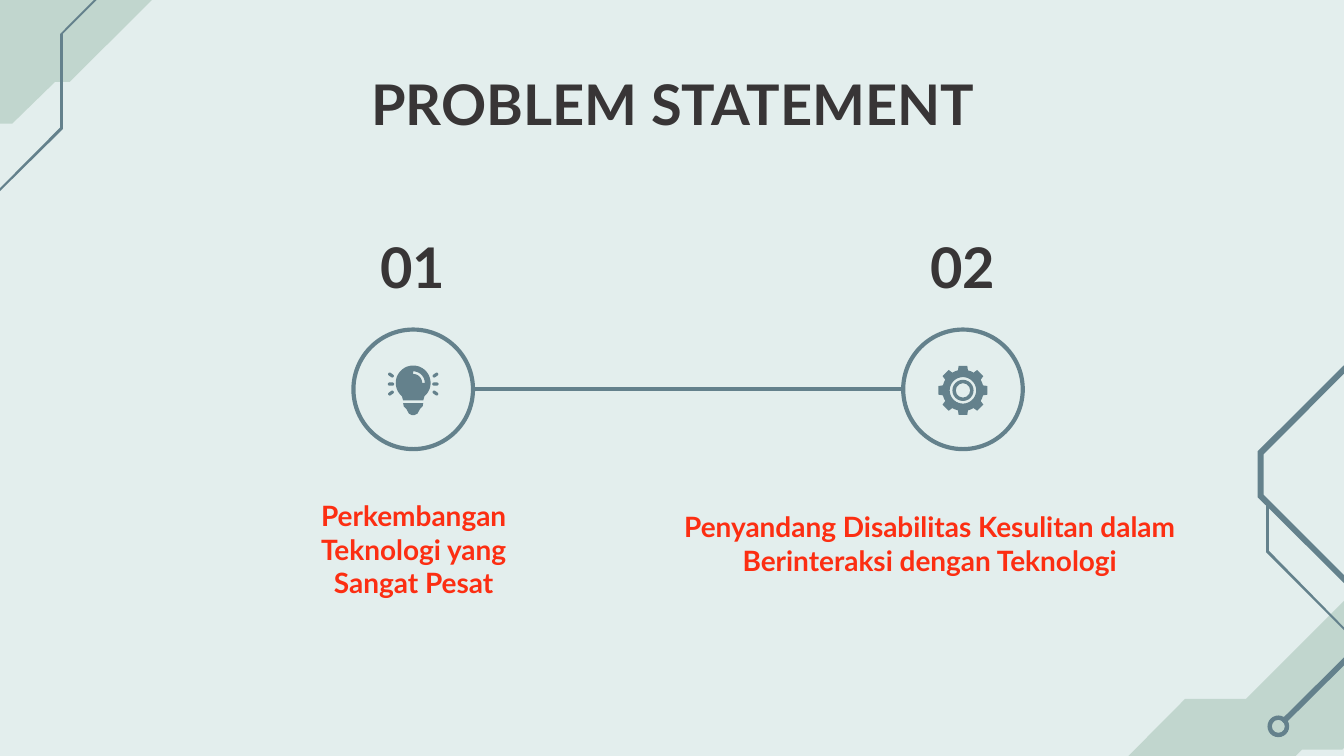
from dataclasses import dataclass
from math import cos, radians, sin
from typing import NamedTuple

from lxml.etree import SubElement
from pptx import Presentation
from pptx.dml.color import RGBColor
from pptx.enum.shapes import MSO_CONNECTOR, MSO_SHAPE
from pptx.enum.text import MSO_ANCHOR, MSO_AUTO_SIZE, PP_ALIGN
from pptx.oxml.ns import qn
from pptx.util import Cm, Pt

TOP, MIDDLE = MSO_ANCHOR.TOP, MSO_ANCHOR.MIDDLE
CENTER = PP_ALIGN.CENTER
FIXED = MSO_AUTO_SIZE.NONE
OVAL, DONUT = MSO_SHAPE.OVAL, MSO_SHAPE.DONUT
ROUND = MSO_SHAPE.ROUNDED_RECTANGLE
STRAIGHT = MSO_CONNECTOR.STRAIGHT


@dataclass(frozen=True)
class Theme:
    font: str = "Lato"
    back: RGBColor = RGBColor(0xE3, 0xEE, 0xED)
    pale: RGBColor = RGBColor(0xC1, 0xD6, 0xCE)
    steel: RGBColor = RGBColor(0x64, 0x81, 0x8C)
    dark: RGBColor = RGBColor(0x38, 0x35, 0x36)
    red: RGBColor = RGBColor(0xFC, 0x2E, 0x12)
    head: int = 30
    small: int = 15
    stroke: float = 2.25


class Box(NamedTuple):
    left: float
    top: float
    width: float
    height: float


class Step(NamedTuple):
    label: str
    text: str
    mid: float
    area: Box


class Patch(NamedTuple):
    color: RGBColor
    points: list


THEME = Theme()
RING_Y, RING_SIZE = 7.36, 2.26
STEPS = [
    Step("01", "Perkembangan Teknologi yang Sangat Pesat", 7.81,
         Box(4.95, 9.25, 5.74, 2.26)),
    Step("02", "Penyandang Disabilitas Kesulitan dalam Berinteraksi dengan Teknologi",
         18.2, Box(11.76, 8.89, 11.63, 2.77)),
]
PATCHES = [
    Patch(THEME.pale, [
        (3.02, -1.83), (1.65, -0.46), (0.41, -0.46), (-2.39, 2.34),
        (0.23, 2.34), (1.04, 1.55), (1.32, 1.55), (4.7, -1.83)]),
    Patch(THEME.steel, [
        (3.07, -1.3), (1.14, 0.64), (1.14, 2.41), (-0.3, 3.86),
        (-0.28, 3.89), (1.19, 2.44), (1.19, 0.64), (3.1, -1.27)]),
    Patch(THEME.pale, [
        (26.09, 10.67), (23.55, 13.21), (22.4, 13.21), (20.96, 14.66),
        (20.96, 15.32), (20.04, 16.23), (22.53, 16.23), (24.61, 14.17),
        (25.37, 14.17), (26.87, 12.67), (26.87, 12.27), (28.47, 10.67)]),
    Patch(THEME.steel, [
        (30.94, 3.35), (28.47, 5.82), (26.49, 5.82), (23.77, 8.53),
        (23.77, 9.4), (25.43, 11.05), (25.43, 12.4), (24.21, 13.61),
        (24.28, 13.69), (25.53, 12.45), (25.53, 11), (23.88, 9.35),
        (23.88, 8.59), (26.54, 5.92), (28.5, 5.92), (31.01, 3.4)]),
    Patch(THEME.steel, [
        (23.93, 9.5), (23.93, 10.44), (25.45, 11.96),
        (25.48, 11.94), (23.98, 10.41), (23.98, 9.5)]),
]


def polar(x: float, y: float, size: float, angle: float) -> tuple:
    return x + size * cos(radians(angle)), y + size * sin(radians(angle))


def arc(x: float, y: float, size: float, start: int, end: int) -> list:
    step = 10 if end > start else -10
    return [polar(x, y, size, angle) for angle in range(start, end + step, step)]


def draw_patch(slide, color: RGBColor, *loops: list) -> None:
    pen = None
    for loop in loops:
        first, *rest = [(Cm(x), Cm(y)) for x, y in loop]
        if pen is None:
            pen = slide.shapes.build_freeform(*first)
        else:
            pen.move_to(*first)
        pen.add_line_segments(rest, close=True)
    paint(pen.convert_to_shape(), color)


def paint(shape, color: RGBColor) -> None:
    shape.shadow.inherit = False
    shape.fill.solid()
    shape.fill.fore_color.rgb = color
    shape.line.fill.background()


def draw_shape(slide, kind, x: float, y: float, width: float, height: float):
    return slide.shapes.add_shape(
        kind, Cm(x - width / 2), Cm(y - height / 2), Cm(width), Cm(height))


def draw_donut(slide, x: float, y: float, size: float, band: float) -> None:
    donut = draw_shape(slide, DONUT, x, y, size, size)
    donut.adjustments[0] = band
    paint(donut, THEME.steel)


def draw_ring(slide, x: float) -> None:
    ring = draw_shape(slide, OVAL, x, RING_Y, RING_SIZE, RING_SIZE)
    ring.shadow.inherit = False
    ring.fill.background()
    ring.line.color.rgb = THEME.steel
    ring.line.width = Pt(THEME.stroke)


def draw_link(slide, start: float, end: float) -> None:
    link = slide.shapes.add_connector(
        STRAIGHT, Cm(start), Cm(RING_Y), Cm(end), Cm(RING_Y))
    link.line.color.rgb = THEME.steel
    link.line.width = Pt(THEME.stroke)
    SubElement(link._element.spPr, qn("a:effectLst"))


def draw_bulb(slide, x: float) -> None:
    y = 7.24
    globe = arc(x, y, 0.33, 130, 410) + [(x + 0.19, 7.57), (x - 0.19, 7.57)]
    shine = arc(x, y, 0.22, -90, 0) + arc(x, y, 0.17, 0, -90)
    draw_patch(slide, THEME.steel, globe, shine)
    side = [(0.19, 7.62), (0.18, 7.68), (0.13, 7.73), (0.08, 7.82), (0.02, 7.85)]
    base = [(x + gap, low) for gap, low in side]
    base += [(x - gap, low) for gap, low in reversed(side)]
    draw_patch(slide, THEME.steel, base)
    for way in (-1, 1):
        for row in (-1, 0, 1):
            ray = draw_shape(slide, ROUND, x + way * 0.42, 7.26 + row * 0.17, 0.12, 0.06)
            ray.adjustments[0] = 0.5
            ray.rotation = 35 * way * row
            paint(ray, THEME.steel)


def draw_gear(slide, x: float) -> None:
    y = 7.38
    tooth = [(-14, 0.39), (-10, 0.47), (10, 0.47), (14, 0.39), (22.5, 0.39)]
    rim = [polar(x, y, size, turn + angle)
           for turn in range(0, 360, 45) for angle, size in tooth]
    draw_patch(slide, THEME.steel, rim, arc(x, y, 0.25, 0, 350))
    draw_donut(slide, x, y, 0.4, 0.16)


def fill_text(holder, text: str, box: Box, size: int, color: RGBColor, anchor) -> None:
    holder.left, holder.top, holder.width, holder.height = map(Cm, box)
    frame = holder.text_frame
    frame.word_wrap = True
    frame.auto_size = FIXED
    frame.vertical_anchor = anchor
    frame.margin_left = frame.margin_right = Cm(0.3)
    frame.margin_top = frame.margin_bottom = Cm(0.25)
    para = frame.paragraphs[0]
    para.alignment = CENTER
    para.line_spacing = 1.0
    para.space_before = para.space_after = Pt(0)
    props = para._p.get_or_add_pPr()
    props.set("marL", "0")
    props.set("indent", "0")
    SubElement(props, qn("a:buNone"))
    run = para.add_run()
    run.text = text
    run.font.name = THEME.font
    run.font.size = Pt(size)
    run.font.bold = True
    run.font.color.rgb = color


def main() -> None:
    deck = Presentation()
    deck.slide_width, deck.slide_height = Cm(25.4), Cm(14.29)
    slide = deck.slides.add_slide(deck.slide_layouts[4])
    slide.background.fill.solid()
    slide.background.fill.fore_color.rgb = THEME.back
    for patch in PATCHES:
        draw_patch(slide, patch.color, patch.points)
    draw_donut(slide, 24.16, 13.73, 0.41, 0.2)

    title, *bodies = slide.placeholders
    fill_text(title, "PROBLEM STATEMENT", Box(2.01, 1.07, 21.41, 1.65),
              THEME.head, THEME.dark, TOP)
    for step, label, body in zip(STEPS, bodies[::2], bodies[1::2]):
        fill_text(label, step.label, Box(step.mid - 2.15, 4.29, 4.29, 1.47),
                  THEME.head, THEME.dark, MIDDLE)
        fill_text(body, step.text, step.area, THEME.small, THEME.red, MIDDLE)
        draw_ring(slide, step.mid)
    left, right = [step.mid for step in STEPS]
    draw_link(slide, left + RING_SIZE / 2, right - RING_SIZE / 2)
    draw_bulb(slide, left)
    draw_gear(slide, right)
    deck.save("out.pptx")


if __name__ == "__main__":
    main()
